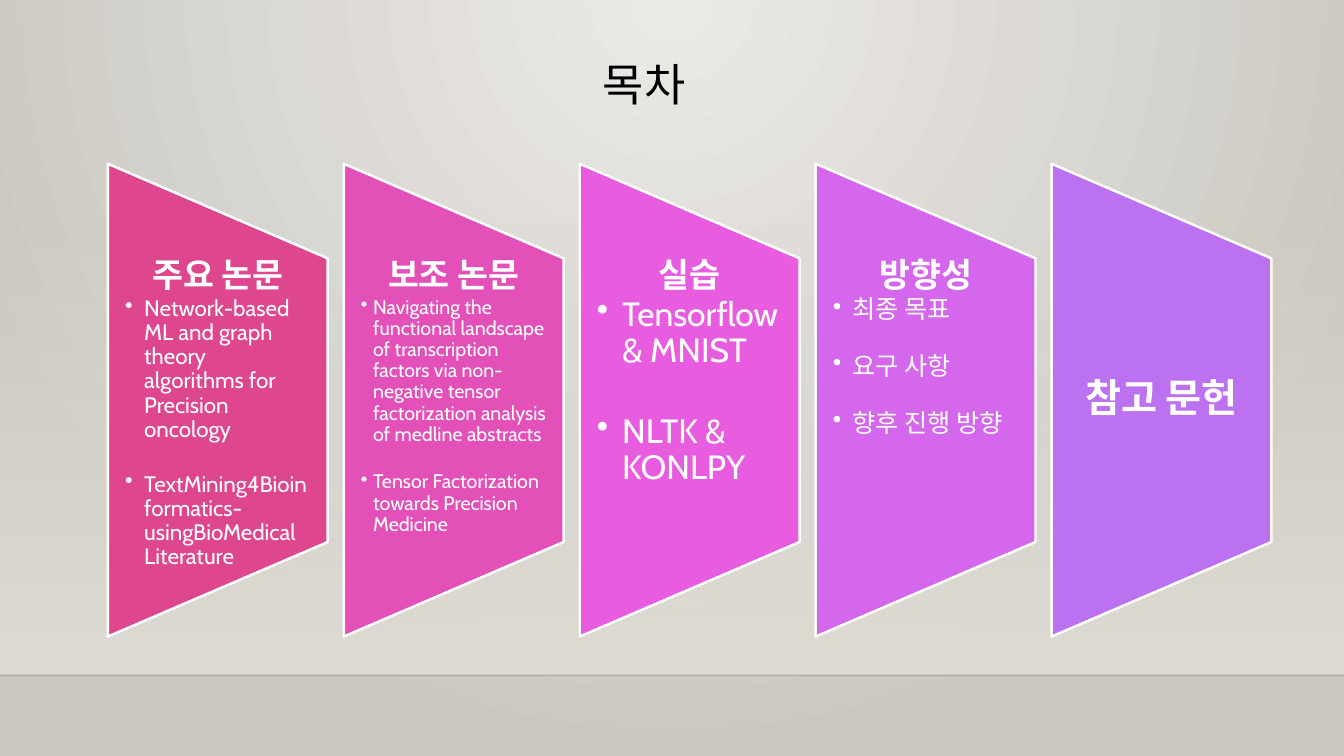
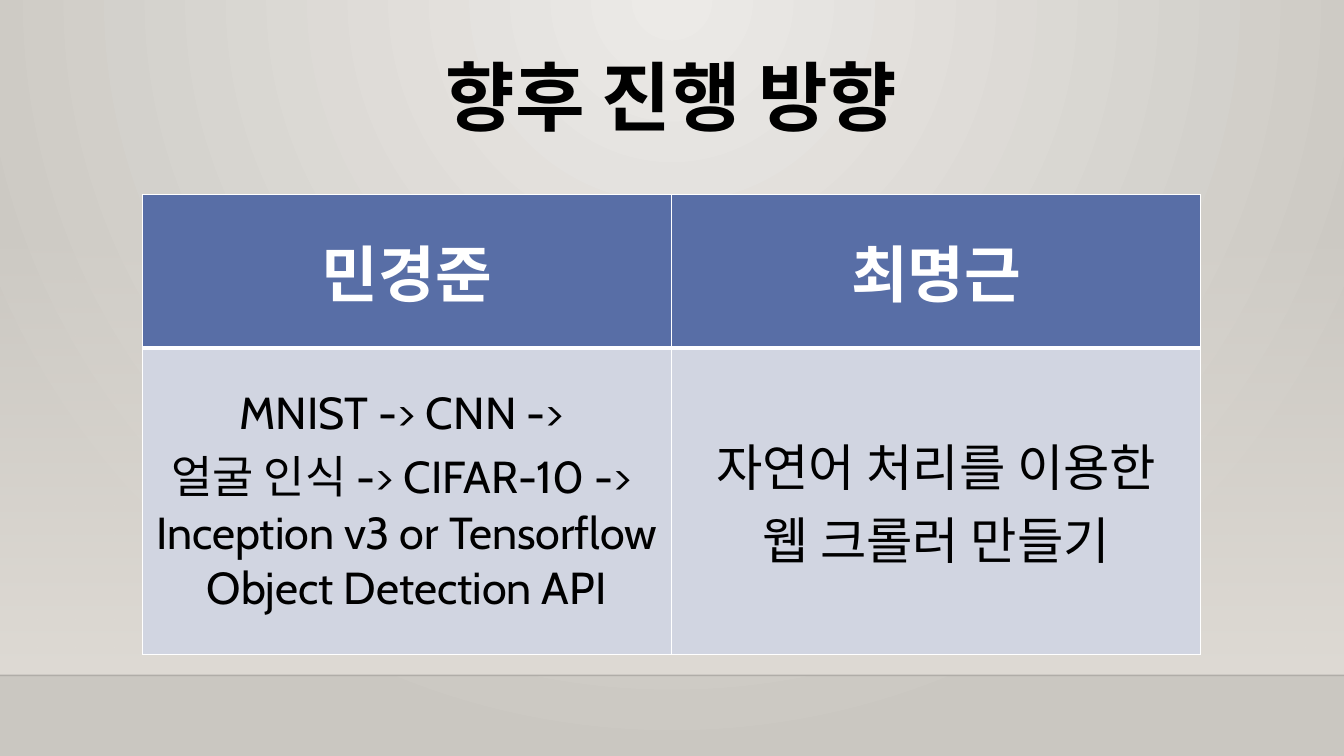
from lxml import etree
from pptx import Presentation
from pptx.dml.color import RGBColor
from pptx.enum.shapes import MSO_CONNECTOR, MSO_SHAPE
from pptx.enum.text import MSO_ANCHOR, PP_ALIGN
from pptx.oxml.ns import qn
from pptx.util import Inches, Pt

LEFT, CENTER = PP_ALIGN.LEFT, PP_ALIGN.CENTER
TOP, MIDDLE = MSO_ANCHOR.TOP, MSO_ANCHOR.MIDDLE
TRAPEZOID, RECTANGLE = MSO_SHAPE.FLOWCHART_MANUAL_OPERATION, MSO_SHAPE.RECTANGLE
STRAIGHT = MSO_CONNECTOR.STRAIGHT

# Shared style
FONT = "Cabin"
BLACK = RGBColor(0x00, 0x00, 0x00)
WHITE = RGBColor(0xFF, 0xFF, 0xFF)
BACKDROP_LIGHT = RGBColor(0xEC, 0xEA, 0xE7)
BACKDROP_DARK = RGBColor(0xCA, 0xC7, 0xC1)
WALL = RGBColor(0xDF, 0xDB, 0xD5)
HEADER_BLUE = RGBColor(0x58, 0x6E, 0xA6)
BODY_BLUE = RGBColor(0xD1, 0xD5, 0xE1)
SLIDE_WIDTH, SLIDE_HEIGHT = 13.33, 7.5
FLOOR_TOP = 6.7
LINE_SPACING = 0.9

# Agenda panels: colour, heading, heading size, bullet size, indent, gap, bullets
PANELS = [
    (RGBColor(0xDE, 0x47, 0x8E), "주요 논문", 24, 16, 0.19, 22,
     ["Network-based ML and graph theory algorithms for Precision oncology",
      "TextMining4Bioinformatics-usingBioMedical Literature"]),
    (RGBColor(0xE3, 0x51, 0xB8), "보조 논문", 24, 14, 0.12, 19,
     ["Navigating the functional landscape of transcription factors via "
      "non-negative tensor factorization analysis of medline abstracts",
      "Tensor Factorization towards Precision Medicine"]),
    (RGBColor(0xE8, 0x5C, 0xE0), "실습", 24, 24, 0.25, 32,
     ["Tensorflow & MNIST", "NLTK & KONLPY"]),
    (RGBColor(0xD4, 0x67, 0xEC), "방향성", 24, 18, 0.19, 21,
     ["최종 목표", "요구 사항", "향후 진행 방향"]),
    (RGBColor(0xBC, 0x72, 0xF0), "참고 문헌", 28, 0, 0, 0, []),
]
PANEL_LEFT, PANEL_STEP, PANEL_WIDTH, PANEL_HEIGHT = 1.07, 2.34, 2.18, 4.69
PANEL_MIDDLE = 3.97
PANEL_TEXT_HEIGHT = 2.82

# Table rows: fill, text colour, bold, bottom border, cells of (size, lines)
TABLE_ROWS = [
    (HEADER_BLUE, WHITE, True, 3, [(44, ["민경준"]), (44, ["최명근"])]),
    (BODY_BLUE, BLACK, False, 1, [
        (32, ["MNIST -> CNN -> ", "얼굴 인식 -> CIFAR-10 -> ",
              "Inception v3 or Tensorflow Object Detection API"]),
        (36, ["자연어 처리를 이용한", "웹 크롤러 만들기"])]),
]
ROW_HEIGHTS = [1.52, 3.04]


def add_child(parent, tag, **attributes):
    child = etree.SubElement(parent, qn(tag))
    for name, value in attributes.items():
        child.set(name, str(value))
    return child


def add_colour(parent, colour, opacity=100):
    element = add_child(parent, "a:srgbClr", val=colour)
    if opacity < 100:
        add_child(element, "a:alpha", val=opacity * 1000)


def reset_gradient(owner, stops):
    """Give the owner's gradient new stops and return it, without direction."""
    gradient = owner.find(".//" + qn("a:gradFill"))
    for child in list(gradient):
        gradient.remove(child)
    stop_list = add_child(gradient, "a:gsLst")
    for position, colour, opacity in stops:
        stop = add_child(stop_list, "a:gs", pos=position * 1000)
        add_colour(stop, colour, opacity)
    return gradient


def write_paragraph(paragraph, text, size, colour, bold=False, align=LEFT):
    paragraph.text = text
    paragraph.alignment = align
    for run in paragraph.runs:
        font = run.font
        font.name, font.size, font.bold = FONT, Pt(size), bold
        font.color.rgb = colour


def add_paragraph(text_frame, is_first):
    return text_frame.paragraphs[0] if is_first else text_frame.add_paragraph()


def add_text_frame(slide, left, top, width, height, anchor=TOP):
    box = slide.shapes.add_textbox(Inches(left), Inches(top), Inches(width), Inches(height))
    text_frame = box.text_frame
    text_frame.word_wrap = True
    text_frame.vertical_anchor = anchor
    return text_frame


def add_title(slide, text, left, top, width, height, size, bold=False, align=LEFT):
    paragraph = add_text_frame(slide, left, top, width, height).paragraphs[0]
    paragraph.line_spacing = LINE_SPACING
    write_paragraph(paragraph, text, size, BLACK, bold, align)


def add_backdrop(slide):
    # Radial light from the top centre
    slide.background.fill.gradient()
    gradient = reset_gradient(slide.element, [(0, BACKDROP_LIGHT, 100), (100, BACKDROP_DARK, 100)])
    circle = add_child(gradient, "a:path", path="circle")
    add_child(circle, "a:fillToRect", l=43000, t=0, r=43000, b=100000)

    # Wall that fades in downwards
    wall = slide.shapes.add_shape(RECTANGLE, 0, Inches(2.21), Inches(SLIDE_WIDTH), Inches(4.49))
    wall.shadow.inherit = False
    wall.line.fill.background()
    wall.fill.gradient()
    gradient = reset_gradient(wall.element, [(0, WALL, 0), (100, WALL, 100)])
    add_child(gradient, "a:lin", ang=90 * 60000, scaled=0)

    # Floor edge
    edge = slide.shapes.add_connector(
        STRAIGHT, 0, Inches(FLOOR_TOP), Inches(SLIDE_WIDTH), Inches(FLOOR_TOP))
    edge.line.width = Pt(1)
    edge.line.color.rgb = BLACK
    colour = edge.element.find(".//" + qn("a:srgbClr"))
    add_child(colour, "a:alpha", val=20000)
    add_child(edge.element.spPr, "a:effectLst")


def set_bullet(paragraph, indent):
    properties = paragraph._p.get_or_add_pPr()
    properties.set("marL", str(Inches(indent)))
    properties.set("indent", str(-Inches(indent)))
    add_child(properties, "a:buChar", char="•")


def add_panel(slide, left, colour, heading, heading_size, bullet_size, indent, gap, bullets):
    # The trapezoid is turned a quarter, so its frame is wide and low
    shape = slide.shapes.add_shape(
        TRAPEZOID,
        Inches(left + (PANEL_WIDTH - PANEL_HEIGHT) / 2), Inches(PANEL_MIDDLE - PANEL_WIDTH / 2),
        Inches(PANEL_HEIGHT), Inches(PANEL_WIDTH))
    shape.rotation = 270
    shape.shadow.inherit = False
    shape.fill.solid()
    shape.fill.fore_color.rgb = colour
    shape.line.color.rgb = WHITE
    shape.line.width = Pt(1.75)

    # Heading and bullets
    text_frame = add_text_frame(slide, left, PANEL_MIDDLE - PANEL_TEXT_HEIGHT / 2, PANEL_WIDTH,
                                PANEL_TEXT_HEIGHT, TOP if bullets else MIDDLE)
    text_frame.margin_left = text_frame.margin_right = Inches(0.17)
    text_frame.margin_top = text_frame.margin_bottom = 0
    paragraph = text_frame.paragraphs[0]
    paragraph.line_spacing = LINE_SPACING
    write_paragraph(paragraph, heading, heading_size, WHITE, True, CENTER)
    for index, bullet in enumerate(bullets):
        paragraph = text_frame.add_paragraph()
        set_bullet(paragraph, indent)
        paragraph.line_spacing = LINE_SPACING
        paragraph.space_before = Pt(gap if index else 2)
        write_paragraph(paragraph, bullet, bullet_size, WHITE)


def set_borders(cell, top, bottom):
    properties = cell._tc.get_or_add_tcPr()
    widths = {"a:lnL": 1, "a:lnR": 1, "a:lnT": top, "a:lnB": bottom}
    for tag, width in widths.items():
        border = add_child(properties, tag, w=Pt(width))
        add_colour(add_child(border, "a:solidFill"), WHITE)


def fill_cell(cell, size, lines, colour, bold):
    cell.vertical_anchor = MIDDLE
    for index, line in enumerate(lines):
        paragraph = add_paragraph(cell.text_frame, index == 0)
        write_paragraph(paragraph, line, size, colour, bold, CENTER)


def add_plan_table(slide):
    frame = slide.shapes.add_table(len(TABLE_ROWS), 2, Inches(1.41), Inches(1.93),
                                   Inches(10.5), Inches(sum(ROW_HEIGHTS)))
    table = frame.table
    table.horz_banding = False
    top = 1
    for row, (fill, colour, bold, bottom, cells) in enumerate(TABLE_ROWS):
        table.rows[row].height = Inches(ROW_HEIGHTS[row])
        for column, (size, lines) in enumerate(cells):
            cell = table.cell(row, column)
            fill_cell(cell, size, lines, colour, bold)
            set_borders(cell, top, bottom)
            cell.fill.solid()
            cell.fill.fore_color.rgb = fill
        top = bottom


def add_slide(presentation):
    slide = presentation.slides.add_slide(presentation.slide_layouts[6])
    add_backdrop(slide)
    return slide


def main():
    presentation = Presentation()
    presentation.slide_width = Inches(SLIDE_WIDTH)
    presentation.slide_height = Inches(SLIDE_HEIGHT)

    # Agenda
    slide = add_slide(presentation)
    for index, panel in enumerate(PANELS):
        add_panel(slide, PANEL_LEFT + index * PANEL_STEP, *panel)
    add_title(slide, "목차", 5.88, 0.57, 1.92, 1.05, 32)

    # Next steps
    slide = add_slide(presentation)
    add_title(slide, "향후 진행 방향", 1.41, 0.55, 10.5, 1.15, 54, True, CENTER)
    add_plan_table(slide)

    presentation.save("out.pptx")


if __name__ == "__main__":
    main()
